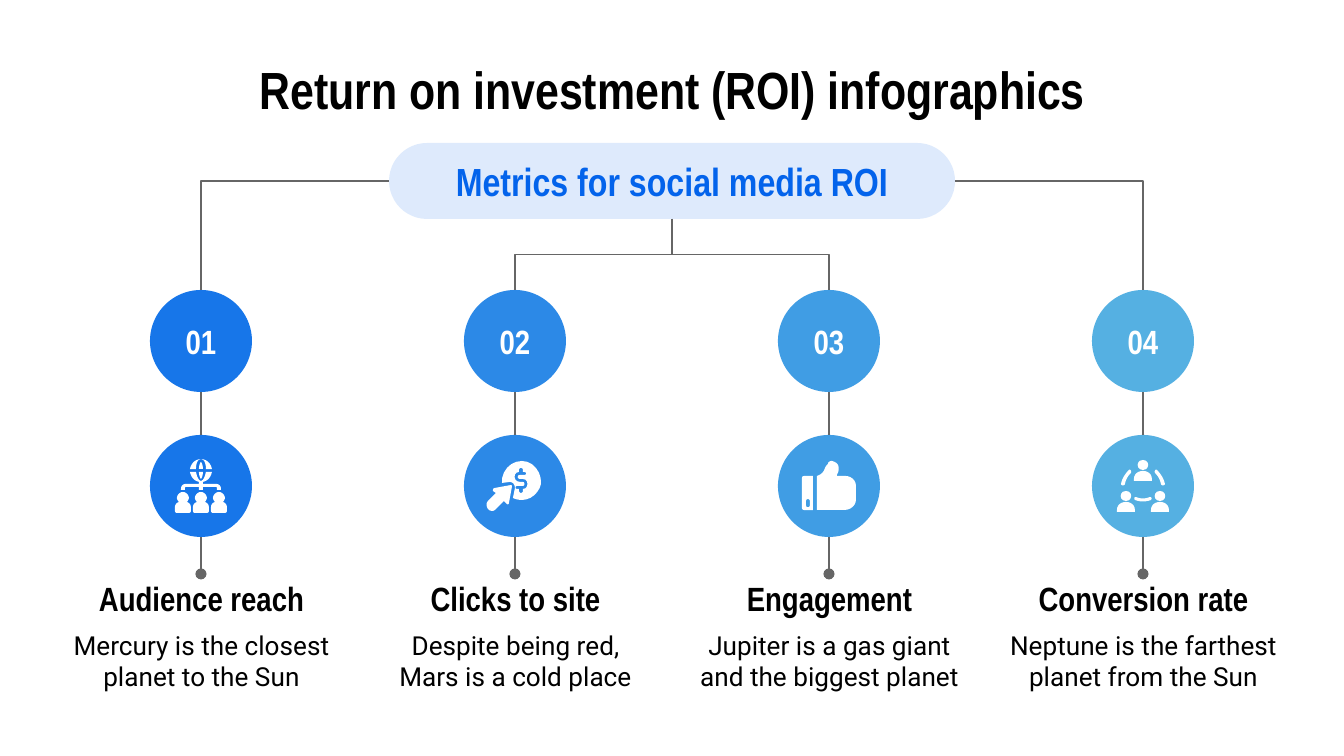
from lxml.etree import SubElement
from pptx import Presentation
from pptx.dml.color import RGBColor as Rgb
from pptx.enum.shapes import MSO_CONNECTOR as Link, MSO_SHAPE as Kind
from pptx.enum.text import MSO_ANCHOR as Anchor, MSO_AUTO_SIZE as Fit, PP_ALIGN as Align
from pptx.oxml.ns import qn
from pptx.util import Pt

TITLE = "Return on investment (ROI) infographics"
HEAD = "Metrics for social media ROI"
STEPS = [
    ("01", "Audience reach", "Mercury is the closest planet to the Sun", "1776E9", "reach"),
    ("02", "Clicks to site", "Despite being red, Mars is a cold place", "2C89E7", "click"),
    ("03", "Engagement", "Jupiter is a gas giant and the biggest planet", "409DE4", "thumb"),
    ("04", "Conversion rate", "Neptune is the farthest planet from the Sun", "55B0E2", "team"),
]
HUE = {"ink": "000000", "white": "FFFFFF", "blue": "0363EB", "gray": "666666"}
BOLD, BODY = "Arial Narrow", "Roboto"

# Outlines in px: a pair is a corner, six numbers are a curve.
BUST = [[(0, 0), (-3, 0, -6, 3, -6, 6), (-6, 7, -5, 9, -4, 10), (-7, 11, -8, 13, -8, 16),
         (-8, 19), (-8, 20, -7, 21, -6, 21), (6, 21), (7, 21, 8, 20, 8, 19), (8, 16),
         (8, 13, 7, 11, 4, 10), (5, 9, 6, 7, 6, 6), (6, 3, 3, 0, 0, 0)]]
USER = [[(0, 0), (-7, 0, -7, 10, 0, 10), (7, 10, 7, 0, 0, 0)],
        [(0, 11), (-5, 11, -9, 14, -9, 19), (-9, 21), (9, 21), (9, 19), (9, 14, 5, 11, 0, 11)]]
CAP = [[(0, -27), (3, -27, 5, -23, 5, -17), (11, -17), (10, -23, 5, -27, 0, -27)]]
CORE = [[(0, -24), (-1, -23, -2, -20, -2, -17), (2, -17), (2, -20, 1, -23, 0, -24)]]
BASE = [[(-2, -14), (-2, -11, -1, -8, 0, -7), (1, -8, 2, -11, 2, -14)]]
TREE = [[(-11, -14), (-10, -9, -7, -5, -2, -4), (-2, -2), (-15, -2), (-18, -2, -20, 0, -20, 3),
         (-20, 4), (-16, 4), (-16, 2), (-16, 1, -15, 1, -14, 1), (-2, 1), (-2, 4), (2, 4),
         (2, 1), (14, 1), (15, 1, 16, 1, 16, 2), (16, 4), (20, 4), (20, 3),
         (20, 0, 18, -2, 15, -2), (2, -2), (2, -4), (7, -5, 10, -9, 11, -14), (5, -14),
         (4, -9, 2, -5, 0, -5), (-2, -5, -4, -9, -5, -14)]]
COIN = [[(7, -25), (-5, -25, -14, -14, -13, -3), (-5, -4), (-2, -4, 0, -1, 0, 2), (-2, 12),
         (0, 13, 3, 14, 7, 14), (16, 14, 24, 7, 26, -2), (27, -14, 18, -25, 7, -25)],
        [(6, -18), (7, -18, 8, -17, 8, -16), (8, -14), (9, -14), (12, -14, 12, -11, 9, -11),
         (5, -11), (2, -11, 2, -7, 5, -7), (8, -7), (14, -7, 14, 3, 8, 3), (8, 5),
         (8, 6, 7, 7, 6, 7), (5, 7, 4, 6, 4, 5), (4, 3), (2, 3), (0, 3, 0, 0, 2, 0), (8, 0),
         (10, 0, 10, -4, 8, -4), (5, -4), (-2, -4, -2, -14, 4, -14), (4, -16),
         (4, -17, 5, -18, 6, -18)]]
ARROW = [[(-4, -1), (-20, 2), (-22, 2, -22, 4, -22, 5), (-19, 7), (-27, 15),
          (-30, 18, -28, 25, -23, 25), (-21, 25, -20, 24, -19, 23), (-11, 15), (-8, 18),
          (-7, 19, -6, 18, -6, 17), (-3, 1), (-3, 0, -3, -1, -4, -1)]]
CUFF = [[(-25, -10), (-26, -10, -27, -9, -27, -8), (-27, 22), (-27, 23, -26, 24, -25, 24),
         (-16, 24), (-16, -10)],
        [(-21, 13), (-20, 13, -19, 14, -19, 15), (-19, 19), (-19, 22, -23, 22, -23, 19),
         (-23, 15), (-23, 14, -22, 13, -21, 13)]]
HAND = [[(3, -25), (1, -25, -1, -24, -1, -22), (-2, -21, -3, -20, -4, -18),
         (-5, -14, -8, -11, -12, -10), (-12, 24), (16, 24), (22, 24, 27, 19, 27, 14), (27, 0),
         (27, -6, 22, -10, 16, -10), (8, -10), (8, -11, 8, -12, 9, -13),
         (10, -16, 10, -19, 9, -21), (8, -23, 6, -24, 3, -25)]]
ARC = [[(-14, -16), (-18, -12, -21, -7, -22, -2), (-22, 0, -18, 0, -18, -2),
        (-17, -7, -15, -10, -12, -13), (-11, -15, -13, -17, -14, -16)]]
BOW = [[(-7, 11), (-2, 13, 2, 13, 7, 11), (9, 11, 9, 13, 8, 14), (3, 16, -3, 16, -8, 14),
        (-9, 13, -9, 11, -7, 11)]]
HERE, PAIR = [(0, 0, 1)], [(0, 0, 1), (0, 0, -1)]
ICONS = {
    "reach": [(BUST, [(x, 6, 1) for x in (-18, 0, 18)]), (CAP, PAIR), (CORE, HERE),
              (BASE, HERE), (TREE, HERE)],
    "click": [(COIN, HERE), (ARROW, HERE)],
    "thumb": [(CUFF, HERE), (HAND, HERE)],
    "team": [(USER, [(0, -26, 1), (-17, 5, 1), (17, 5, 1)]), (ARC, PAIR), (BOW, HERE)],
}

WIDE, HIGH, MID = 1344, 756, 672
SCALE = 9144000 / WIDE
LEFT, STEP, DISC = 201, 314, 102
TOP, LOW, DOT = 290, 435, 574
PILL = (389, 143, 566, 76)


def px(*vals):
    return [round(v * SCALE) for v in vals]


def write(shape, text, size=18, font=BOLD, hue="ink", bold=True):
    frame = shape.text_frame
    frame.word_wrap, frame.auto_size = True, Fit.NONE
    frame.vertical_anchor = Anchor.MIDDLE
    frame.margin_left = frame.margin_right = frame.margin_top = frame.margin_bottom = px(13)[0]
    par = frame.paragraphs[0]
    par.alignment = Align.CENTER
    run = par.add_run()
    run.text = text
    run.font.size, run.font.name, run.font.bold = Pt(size), font, bold
    run.font.color.rgb = Rgb.from_string(HUE[hue])


def paint(shape, color):
    shape.shadow.inherit = False
    shape.fill.solid()
    shape.fill.fore_color.rgb = Rgb.from_string(color)
    shape.line.fill.background()
    return shape


def trace(loop):
    pts = [loop[0]]
    for seg in loop[1:]:
        if len(seg) == 2:
            pts.append(seg)
            continue
        a, b, c, d = pts[-1], seg[:2], seg[2:4], seg[4:]
        for n in range(1, 7):
            t = n / 6
            u = 1 - t
            pts.append(tuple(u**3 * a[k] + 3 * u * u * t * b[k] + 3 * u * t * t * c[k]
                             + t**3 * d[k] for k in (0, 1)))
    return pts


def draw(shapes, loops, x, y, flip):
    pen = None
    for loop in loops:
        pts = [px(x + flip * a, y + b) for a, b in trace(loop)]
        if pen is None:
            pen = shapes.build_freeform(*pts[0], scale=1.0)
        else:
            pen.move_to(*pts[0])
        pen.add_line_segments(pts[1:], close=True)
    paint(pen.convert_to_shape(), HUE["white"])


def join(shapes, x1, y1, x2, y2, kind=Link.STRAIGHT, turn=0, prst=None, dot=False):
    line = shapes.add_connector(kind, *px(x1, y1, x2, y2))
    line.line.width = Pt(0.75)
    line.line.color.rgb = Rgb.from_string(HUE["gray"])
    prop = line._element.spPr
    SubElement(prop, qn("a:effectLst"))
    if turn:
        prop.find(qn("a:xfrm")).set("rot", str(turn * 60000))
    if prst:
        prop.find(qn("a:prstGeom")).set("prst", prst)
    if dot:
        SubElement(prop.find(qn("a:ln")), qn("a:tailEnd")).set("type", "oval")


def main():
    deck = Presentation()
    deck.slide_width, deck.slide_height = px(WIDE, HIGH)
    slide = deck.slides.add_slide(deck.slide_layouts[5])
    shapes = slide.shapes
    title = shapes.title
    title.left, title.top, title.width, title.height = px(67, 61, 1210, 55)
    write(title, TITLE, size=28)

    pill = paint(shapes.add_shape(Kind.ROUNDED_RECTANGLE, *px(*PILL)), HUE["blue"])
    pill.adjustments[0] = 0.5
    tint = pill._element.spPr.find(qn("a:solidFill"))[0]
    SubElement(tint, qn("a:alpha")).set("val", "13000")
    write(pill, HEAD, size=21, hue="blue")

    for i, (num, name, note, color, icon) in enumerate(STEPS):
        x = LEFT + i * STEP
        for y in (TOP, LOW):
            disc = shapes.add_shape(Kind.OVAL, *px(x - DISC / 2, y, DISC, DISC))
            paint(disc, color)
            if y == TOP:
                write(disc, num, hue="white")
        for loops, spots in ICONS[icon]:
            for dx, dy, flip in spots:
                draw(shapes, loops, x + dx, LOW + DISC / 2 + dy, flip)
        write(shapes.add_textbox(*px(x - 148, 574, 297, 48)), name)
        write(shapes.add_textbox(*px(x - 148, 625, 297, 71)), note,
              size=14, font=BODY, bold=False)
        join(shapes, x, TOP + DISC, x, LOW)
        join(shapes, x, LOW + DISC, x, DOT, dot=True)

    left, top, width, height = PILL
    base, side = top + height, top + height / 2
    for sign, edge, turn in ((-1, left, 90), (1, left + width, 270)):
        join(shapes, edge, side, MID + sign * STEP * 1.5, TOP, Link.ELBOW, prst="bentConnector2")
        x, y = MID + sign * STEP / 4, (base + TOP) / 2
        half, reach = sign * (TOP - base) / 2, STEP / 4
        join(shapes, x + half, y - reach, x - half, y + reach, Link.ELBOW, turn=turn)

    deck.save("out.pptx")


if __name__ == "__main__":
    main()
